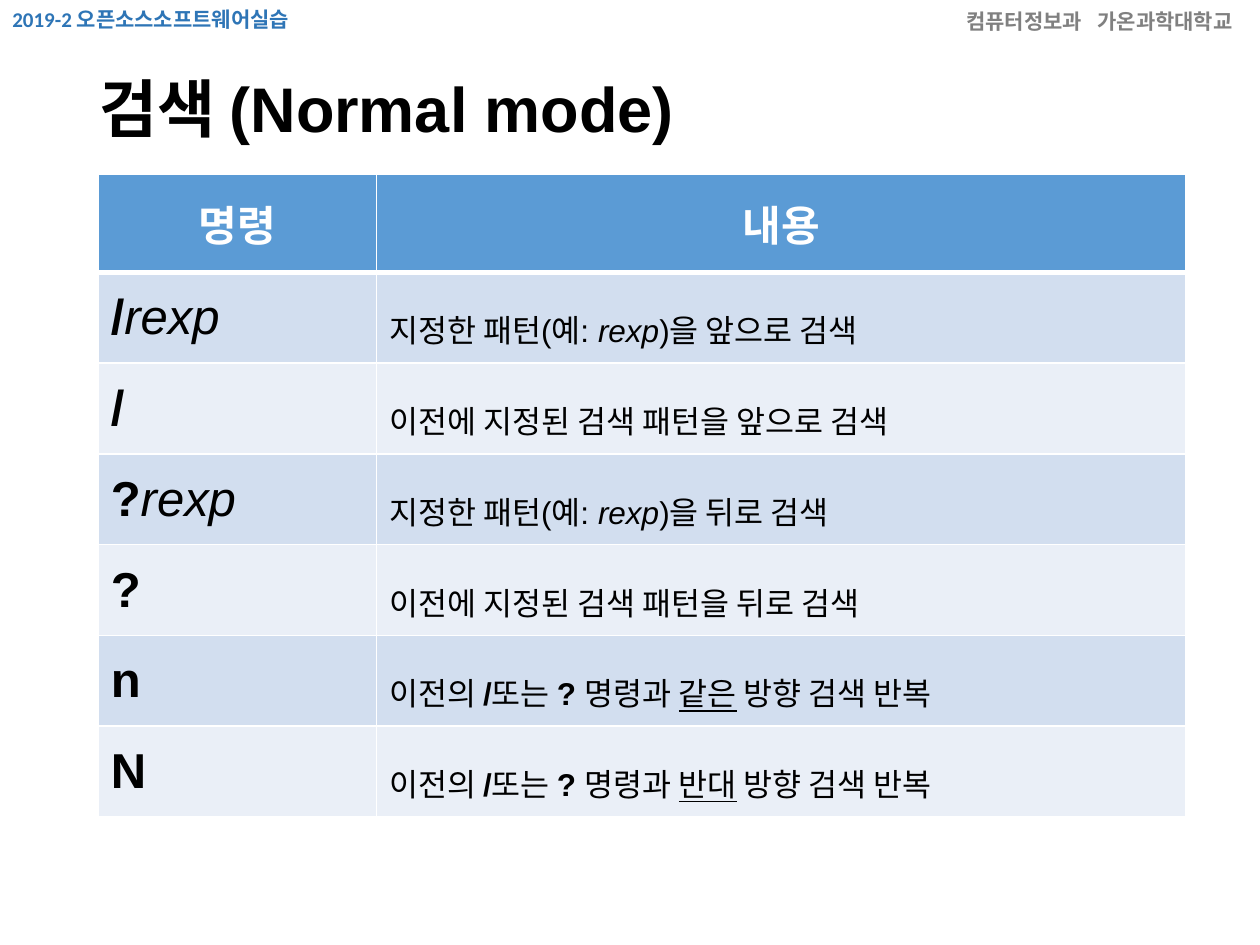
from dataclasses import dataclass

from lxml import etree
from pptx import Presentation
from pptx.dml.color import RGBColor
from pptx.enum.text import MSO_ANCHOR, MSO_AUTO_SIZE, PP_ALIGN
from pptx.oxml.ns import qn
from pptx.util import Cm, Pt

MIDDLE = MSO_ANCHOR.MIDDLE
LEFT, CENTER = PP_ALIGN.LEFT, PP_ALIGN.CENTER
TITLE_ONLY = 5


@dataclass(frozen=True)
class Theme:
    font: str = "Arial"
    banner_font: str = "Calibri"
    course: str = "2E75B6"
    school: str = "808080"
    text: str = "000000"
    white: str = "FFFFFF"
    header_fill: str = "5B9BD5"
    bands: tuple = ("D2DEEF", "EAEFF7")
    banner_size: int = 12
    title_size: int = 36
    header_size: int = 24
    command_size: int = 28
    description_size: int = 18


THEME = Theme()

# Each text is a list of (words, style); style letters: b bold, i italic, u underline.
def pattern_search(direction):
    return [("지정한 패턴(예: ", ""), ("rexp", "i"), (f")을 {direction} 검색", "")]


def previous_search(direction):
    return [(f"이전에 지정된 검색 패턴을 {direction} 검색", "")]


def repeated_search(direction):
    return [("이전의 ", ""), ("/", "b"), ("또는 ", ""), ("? ", "b"),
            ("명령과 ", ""), (direction, "u"), (" 방향 검색 반복", "")]


HEADINGS = ["명령", "내용"]
COMMANDS = [
    ([("/", "b"), ("rexp", "i")], pattern_search("앞으로")),
    ([("/", "b")], previous_search("앞으로")),
    ([("?", "b"), ("rexp", "i")], pattern_search("뒤로")),
    ([("?", "b")], previous_search("뒤로")),
    ([("n", "b")], repeated_search("같은")),
    ([("N", "b")], repeated_search("반대")),
]


def write_runs(paragraph, pieces, size, color, font=THEME.font):
    for words, style in pieces:
        run = paragraph.add_run()
        run.text = words
        run.font.name = font
        run.font.size = Pt(size)
        run.font.color.rgb = RGBColor.from_string(color)
        run.font.bold = "b" in style
        run.font.italic = "i" in style
        run.font.underline = "u" in style


def add_banner(slide, box, pieces, color):
    shape = slide.shapes.add_textbox(*box)
    frame = shape.text_frame
    frame.word_wrap = False
    frame.auto_size = MSO_AUTO_SIZE.SHAPE_TO_FIT_TEXT
    write_runs(frame.paragraphs[0], pieces, THEME.banner_size, color, THEME.banner_font)
    return frame.paragraphs[0]


def add_banners(slide, left, top, width):
    height = Cm(0.76)
    add_banner(slide, (left, top, Cm(6.53), height),
               [("2019-2 오픈소스소프트웨어실습", "b")], THEME.course)
    school = add_banner(slide, (left + width - Cm(6.17), top + Cm(0.05), Cm(6.38), height),
                        [("컴퓨터정보과", "b"), (" ", "b"), ("가온과학대학교", "b")],
                        THEME.school)
    # Widen the single space between department and school.
    school.runs[1].font._element.set("spc", "600")


def fill_title(slide, box, words):
    title = slide.shapes.title
    title.left, title.top, title.width, title.height = box
    frame = title.text_frame
    frame.vertical_anchor = MIDDLE
    frame.word_wrap = True
    paragraph = frame.paragraphs[0]
    paragraph.alignment = LEFT
    paragraph.line_spacing = 0.9
    write_runs(paragraph, [(words, "b")], THEME.title_size, THEME.text)


def set_borders(cell, **widths):
    properties = cell._tc.get_or_add_tcPr()
    for side in "LRTB":
        line = etree.SubElement(properties, qn(f"a:ln{side}"), w=str(Pt(widths.get(side, 1))))
        fill = etree.SubElement(line, qn("a:solidFill"))
        etree.SubElement(fill, qn("a:srgbClr"), val=THEME.white)


def format_cell(cell, pieces, size, color, fill, alignment=LEFT, line_spacing=None, **borders):
    set_borders(cell, **borders)
    cell.fill.solid()
    cell.fill.fore_color.rgb = RGBColor.from_string(fill)
    cell.vertical_anchor = MIDDLE
    paragraph = cell.text_frame.paragraphs[0]
    paragraph.alignment = alignment
    paragraph.line_spacing = line_spacing
    write_runs(paragraph, pieces, size, color)


def add_command_table(slide, left, top, width):
    header_height, row_height, command_width = Cm(1.98), Cm(1.83), Cm(5.61)
    height = header_height + row_height * len(COMMANDS)
    table = slide.shapes.add_table(len(COMMANDS) + 1, len(HEADINGS),
                                   left, top, width, height).table
    table.columns[0].width = command_width
    table.columns[1].width = width - command_width
    for index, row in enumerate(table.rows):
        row.height = row_height if index else header_height

    for column, heading in enumerate(HEADINGS):
        format_cell(table.cell(0, column), [(heading, "b")], THEME.header_size,
                    THEME.white, THEME.header_fill, CENTER, B=3)
    for row, (command, description) in enumerate(COMMANDS, start=1):
        band = THEME.bands[(row - 1) % 2]
        top_width = 3 if row == 1 else 1
        format_cell(table.cell(row, 0), command, THEME.command_size,
                    THEME.text, band, T=top_width)
        format_cell(table.cell(row, 1), description, THEME.description_size,
                    THEME.text, band, line_spacing=1.5, T=top_width)


def main():
    presentation = Presentation()
    presentation.slide_width, presentation.slide_height = Cm(25.4), Cm(19.05)
    slide = presentation.slides.add_slide(presentation.slide_layouts[TITLE_ONLY])
    add_banners(slide, Cm(0), Cm(0), presentation.slide_width)
    fill_title(slide, (Cm(1.75), Cm(1.02), Cm(21.9), Cm(2.49)), "검색 (Normal mode)")
    add_command_table(slide, Cm(1.98), Cm(3.51), Cm(21.92))
    presentation.save("out.pptx")


if __name__ == "__main__":
    main()
